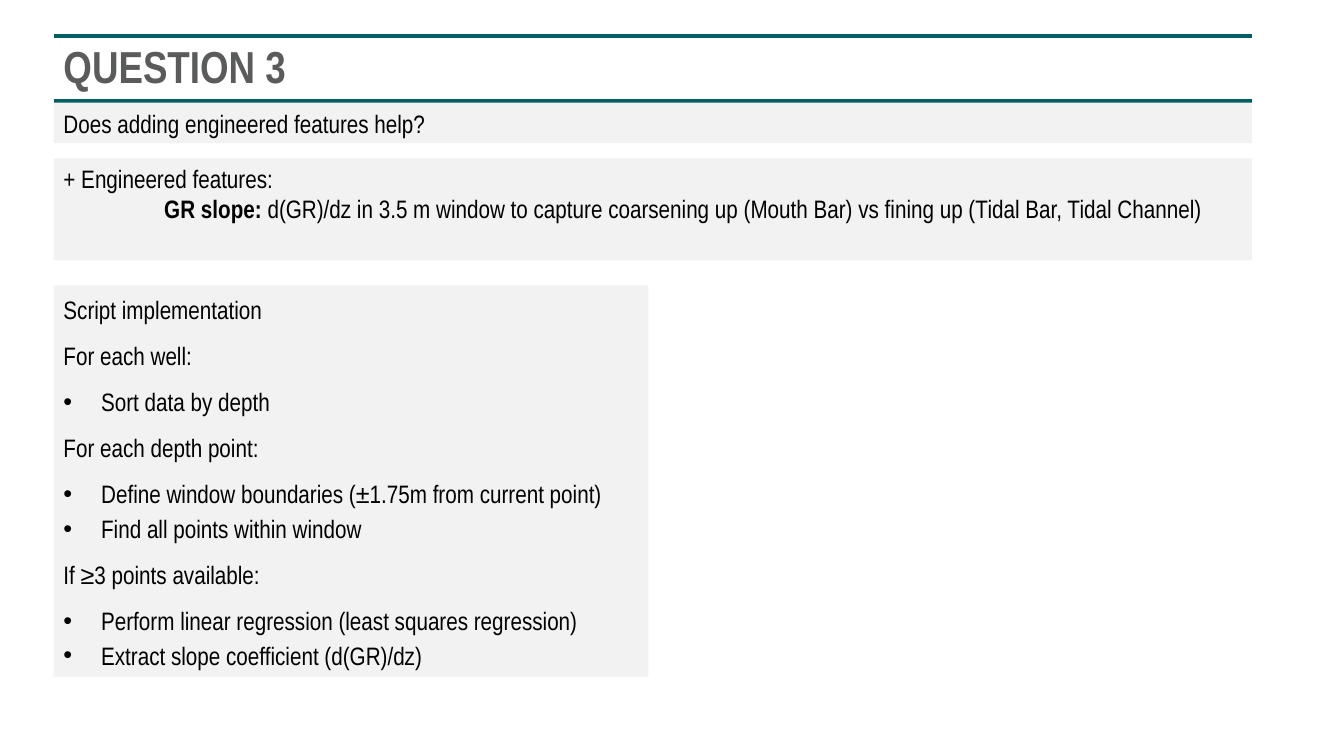
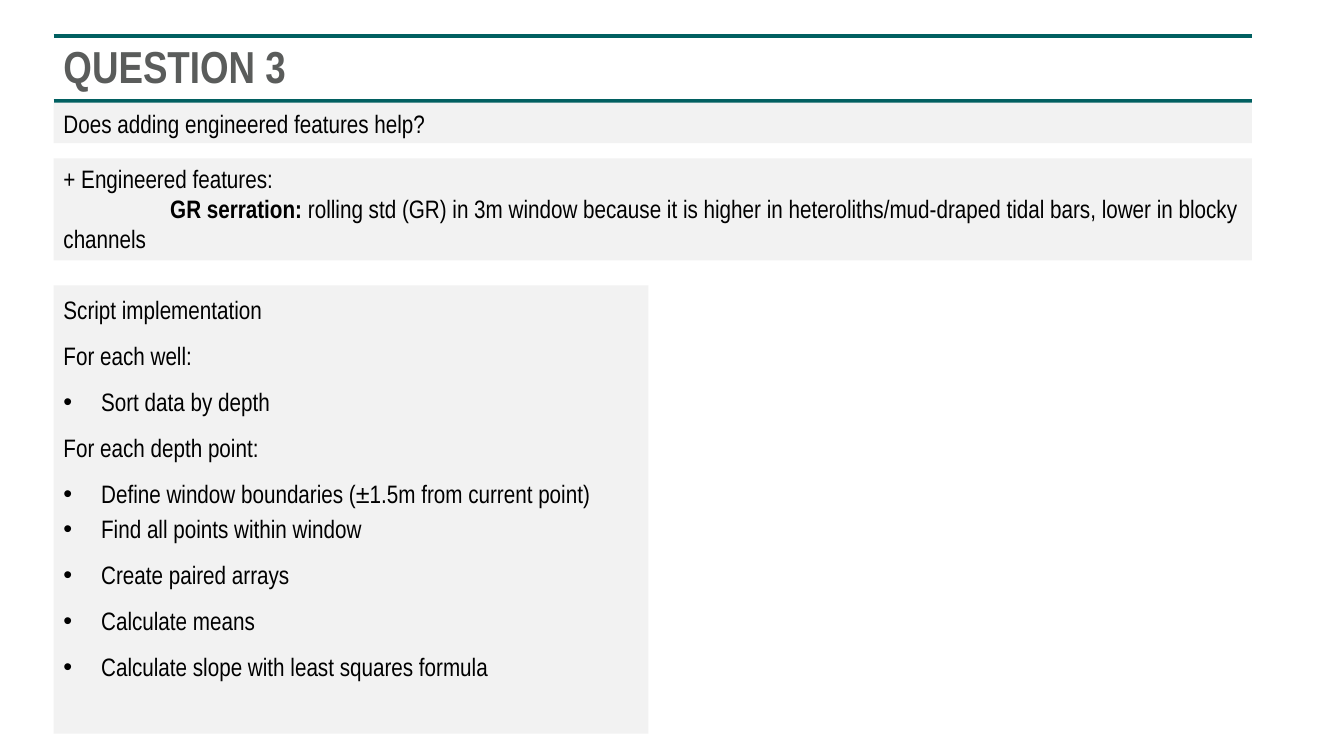
from dataclasses import dataclass

from lxml import etree
from pptx import Presentation
from pptx.dml.color import RGBColor
from pptx.enum.shapes import MSO_CONNECTOR, MSO_SHAPE
from pptx.enum.text import MSO_ANCHOR, PP_ALIGN
from pptx.oxml.ns import qn
from pptx.util import Cm, Pt

RECTANGLE = MSO_SHAPE.RECTANGLE
STRAIGHT = MSO_CONNECTOR.STRAIGHT
TOP, MIDDLE = MSO_ANCHOR.TOP, MSO_ANCHOR.MIDDLE
LEFT_ALIGNED = PP_ALIGN.LEFT


@dataclass(frozen=True)
class Theme:
    font: str = "Arial Narrow"
    rule: RGBColor = RGBColor(0x01, 0x60, 0x61)
    title: RGBColor = RGBColor(0x5A, 0x5C, 0x5B)
    panel: RGBColor = RGBColor(0xF2, 0xF2, 0xF2)
    text: RGBColor = RGBColor(0, 0, 0)
    title_size: Pt = Pt(32)
    text_size: Pt = Pt(18)
    rule_width: Pt = Pt(3)
    step_gap: Pt = Pt(8)


THEME = Theme()
MARGIN = Cm(1.35)
CONTENT_WIDTH = Cm(30.2)
STEPS_WIDTH = Cm(14.99)
BULLET_INDENT = Cm(0.95)

HEADING, BULLET, TIGHT_BULLET = "heading", "bullet", "tight bullet"
SHARED_STEPS = [
    (HEADING, "Script implementation"),
    (HEADING, "For each well:"),
    (BULLET, "Sort data by depth"),
    (HEADING, "For each depth point:"),
]
FEATURES = [
    {
        "name": "GR slope: ",
        "meaning": "d(GR)/dz in 3.5 m window to capture coarsening up (Mouth Bar) "
                   "vs fining up (Tidal Bar, Tidal Channel)",
        "indent": Cm(2.54),
        "steps_height": Cm(9.86),
        "steps": [
            (TIGHT_BULLET, "Define window boundaries (±1.75m from current point)"),
            (BULLET, "Find all points within window"),
            (HEADING, "If ≥3 points available:"),
            (TIGHT_BULLET, "Perform linear regression (least squares regression)"),
            (BULLET, "Extract slope coefficient (d(GR)/dz)"),
        ],
    },
    {
        "name": "GR serration: ",
        "meaning": "rolling std (GR) in 3m window because it is higher in "
                   "heteroliths/mud-draped tidal bars, lower in blocky channels",
        "indent": Cm(2.69),
        "steps_height": Cm(11.3),
        "steps": [
            (TIGHT_BULLET, "Define window boundaries (±1.5m from current point)"),
            (BULLET, "Find all points within window"),
            (BULLET, "Create paired arrays"),
            (BULLET, "Calculate means"),
            (BULLET, "Calculate slope with least squares formula"),
        ],
    },
]


def add_panel(slide, top, width, height, anchor=TOP):
    panel = slide.shapes.add_shape(RECTANGLE, MARGIN, top, width, height)
    panel.shadow.inherit = False
    panel.fill.solid()
    panel.fill.fore_color.rgb = THEME.panel
    panel.line.fill.background()
    panel.text_frame.word_wrap = True
    panel.text_frame.vertical_anchor = anchor
    return panel.text_frame


def style(paragraph, size=THEME.text_size, color=THEME.text):
    paragraph.alignment = LEFT_ALIGNED
    paragraph.font.name = THEME.font
    paragraph.font.size = size
    paragraph.font.color.rgb = color


deck = Presentation()
deck.slide_width, deck.slide_height = Cm(33.87), Cm(19.05)
blank = deck.slide_layouts[6]

for feature in FEATURES:
    slide = deck.slides.add_slide(blank)

    for height in (Cm(2.54), Cm(0.91)):
        rule = slide.shapes.add_connector(
            STRAIGHT, MARGIN, height, MARGIN + CONTENT_WIDTH, height)
        rule.line.color.rgb = THEME.rule
        rule.line.width = THEME.rule_width
        etree.SubElement(rule._element.spPr, qn("a:effectLst"))

    title = slide.shapes.add_textbox(MARGIN, Cm(1), CONTENT_WIDTH, Cm(1.5)).text_frame
    title.word_wrap = True
    title.vertical_anchor = MIDDLE
    heading = title.paragraphs[0]
    heading.text = "QUESTION 3"
    heading.line_spacing = 0.9
    style(heading, THEME.title_size, THEME.title)
    heading.font.bold = True

    question = add_panel(slide, Cm(2.59), CONTENT_WIDTH, Cm(1.02), MIDDLE).paragraphs[0]
    question.text = "Does adding engineered features help?"
    style(question)

    summary = add_panel(slide, Cm(3.99), CONTENT_WIDTH, Cm(2.57))
    summary.paragraphs[0].text = "+ Engineered features:"
    style(summary.paragraphs[0])
    definition = summary.add_paragraph()
    definition.add_run().text = feature["name"]
    definition.runs[0].font.bold = True
    definition.add_run().text = feature["meaning"]
    definition._p.get_or_add_pPr().set("indent", str(feature["indent"]))
    style(definition)

    steps = add_panel(slide, Cm(7.19), STEPS_WIDTH, feature["steps_height"])
    for index, (kind, wording) in enumerate(SHARED_STEPS + feature["steps"]):
        step = steps.add_paragraph() if index else steps.paragraphs[0]
        step.text = wording
        step.line_spacing = 1.15
        step.space_after = Pt(0) if kind == TIGHT_BULLET else THEME.step_gap
        if kind != HEADING:
            properties = step._p.get_or_add_pPr()
            properties.set("marL", str(BULLET_INDENT))
            properties.set("indent", str(-BULLET_INDENT))
            etree.SubElement(properties, qn("a:buFont"), typeface="Arial")
            etree.SubElement(properties, qn("a:buChar"), char="•")
        style(step)

deck.save("out.pptx")
